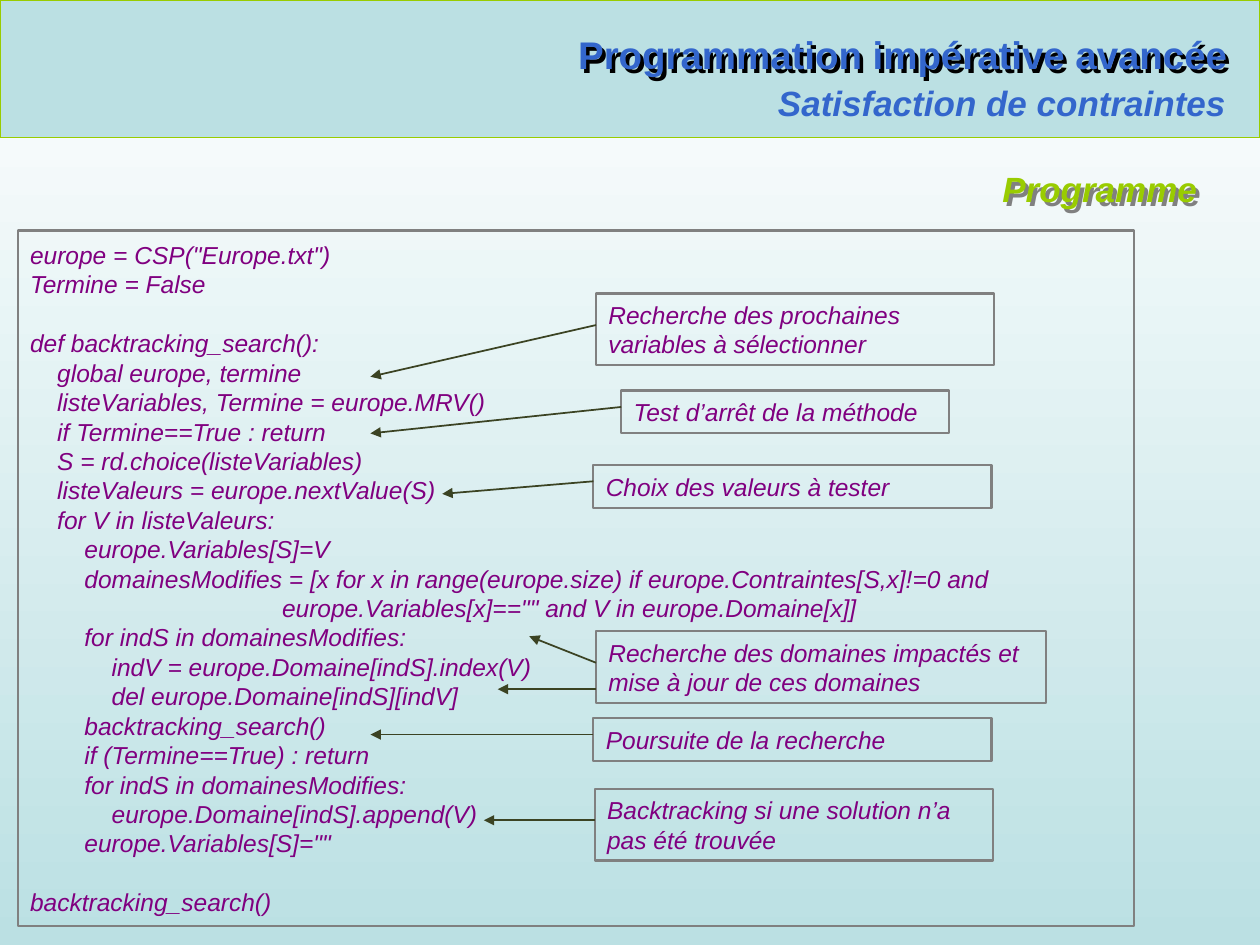
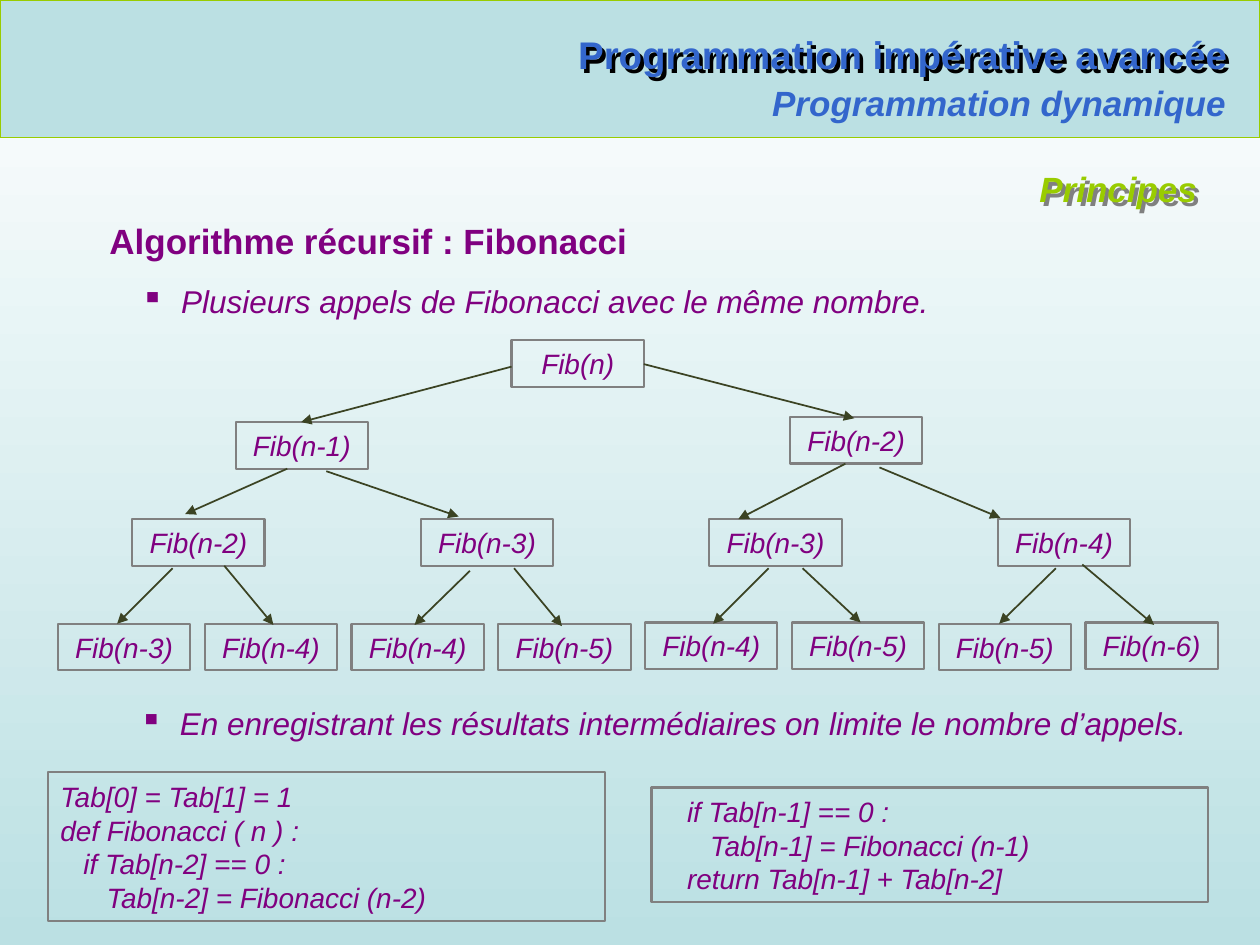
from dataclasses import dataclass
from typing import NamedTuple

from lxml import etree
from pptx import Presentation
from pptx.dml.color import RGBColor
from pptx.enum.shapes import MSO_CONNECTOR, MSO_SHAPE
from pptx.enum.text import MSO_ANCHOR, PP_ALIGN
from pptx.oxml.ns import qn
from pptx.util import Inches, Pt

COLORS = {
    "sky": "BBE0E3", "white": "FFFFFF", "green": "99CC00", "blue": "3366CC",
    "purple": "800080", "grey": "808080", "olive": "3B4323", "black": "000000",
}
FONT = "Arial"
LINE_HEIGHT = 1.2

COURSE = {"size": Pt(22), "bold": True}
CHAPTER = {"size": Pt(20), "bold": True, "italic": True}
HEADING = {"size": Pt(20), "bold": True}
BULLET = {"size": Pt(18), "italic": True}
NODE = {"size": Pt(16), "italic": True}
CODE = {"size": Pt(14), "italic": True}


class Area(NamedTuple):
    left: float
    top: float
    width: float
    height: float


class Arrow(NamedTuple):
    x1: float
    y1: float
    x2: float
    y2: float


@dataclass
class Callout:
    text: str
    area: Area
    arrows: list[Arrow]


PROGRAM = '''europe = CSP("Europe.txt")
Termine = False

def backtracking_search():
    global europe, termine
    listeVariables, Termine = europe.MRV()
    if Termine==True : return
    S = rd.choice(listeVariables)
    listeValeurs = europe.nextValue(S)
    for V in listeValeurs:
        europe.Variables[S]=V
        domainesModifies = [x for x in range(europe.size) if europe.Contraintes[S,x]!=0 and
\t\teurope.Variables[x]=="" and V in europe.Domaine[x]]
        for indS in domainesModifies:
            indV = europe.Domaine[indS].index(V)
            del europe.Domaine[indS][indV]
        backtracking_search()
        if (Termine==True) : return
        for indS in domainesModifies:
            europe.Domaine[indS].append(V)
        europe.Variables[S]=""

backtracking_search()'''

CALLOUTS = [
    Callout("Recherche des prochaines variables à sélectionner",
            Area(4.73, 2.33, 3.16, 0.57), [Arrow(4.73, 2.58, 2.94, 2.99)]),
    Callout("Test d’arrêt de la méthode",
            Area(4.93, 3.1, 2.6, 0.34), [Arrow(4.93, 3.23, 2.94, 3.44)]),
    Callout("Choix des valeurs à tester",
            Area(4.71, 3.69, 3.16, 0.34), [Arrow(4.71, 3.82, 3.51, 3.92)]),
    Callout("Recherche des domaines impactés et mise à jour de ces domaines",
            Area(4.73, 5.01, 3.57, 0.57),
            [Arrow(4.73, 5.26, 4.2, 5.05), Arrow(4.73, 5.47, 3.95, 5.47)]),
    Callout("Poursuite de la recherche",
            Area(4.71, 5.7, 3.16, 0.34), [Arrow(4.71, 5.83, 2.94, 5.83)]),
    Callout("Backtracking si une solution n’a pas été trouvée",
            Area(4.72, 6.26, 3.16, 0.57), [Arrow(4.72, 6.51, 3.84, 6.51)]),
]

# Left and top of every call, one list per depth of the recursion
TREE_LEVELS = [
    [(4.06, 2.7)],
    [(1.87, 3.35), (6.27, 3.31)],
    [(1.05 + 2.29 * i, 4.12) for i in range(4)],
    [(0.46 + 1.165 * i, 4.94 if i in (4, 5, 7) else 4.95) for i in range(8)],
]
TREE_ARROWS = [
    Arrow(4.06, 2.91, 2.39, 3.35), Arrow(5.11, 2.89, 6.78, 3.32),
    Arrow(2.28, 3.72, 1.47, 4.08), Arrow(2.59, 3.74, 3.64, 4.1),
    Arrow(6.71, 3.68, 5.86, 4.12), Arrow(6.98, 3.71, 7.94, 4.11),
    Arrow(1.37, 4.51, 0.93, 4.95), Arrow(1.78, 4.49, 2.17, 4.96),
    Arrow(3.73, 4.53, 3.29, 4.96), Arrow(4.08, 4.51, 4.46, 4.97),
    Arrow(6.1, 4.51, 5.66, 4.95), Arrow(6.37, 4.51, 6.83, 4.94),
    Arrow(8.38, 4.51, 7.93, 4.95), Arrow(8.59, 4.48, 9.16, 4.96),
]

MEMO_TEST = '''Tab[0] = Tab[1] = 1
def Fibonacci ( n ) :
   if Tab[n-2] == 0 :
      Tab[n-2] = Fibonacci (n-2)'''
MEMO_RETURN = '''   if Tab[n-1] == 0 :
      Tab[n-1] = Fibonacci (n-1)
   return Tab[n-1] + Tab[n-2]'''


def rgb(color: str) -> RGBColor:
    return RGBColor.from_string(COLORS[color])


def inches(lengths) -> list:
    return [Inches(length) for length in lengths]


def write(paragraph, text: str, style: dict, color: str = "purple") -> None:
    run = paragraph.add_run()
    run.text = text
    for attribute, value in {"name": FONT, **style}.items():
        setattr(run.font, attribute, value)
    run.font.color.rgb = rgb(color)


def add_text(slide, area: Area, text: str, style: dict, color: str = "purple",
             align=PP_ALIGN.RIGHT, shadow: str = ""):
    """Add a one-line text, with a cast shadow if a shadow colour is given."""
    box = slide.shapes.add_textbox(*inches(area))
    box.text_frame.word_wrap = True
    paragraph = box.text_frame.paragraphs[0]
    paragraph.alignment = align
    write(paragraph, text, style, color)
    if shadow:
        effects = etree.SubElement(box._element.spPr, qn("a:effectLst"))
        cast = etree.SubElement(effects, qn("a:outerShdw"), dist=str(Inches(0.04)),
                                dir="2700000", algn="ctr", rotWithShape="0")
        etree.SubElement(cast, qn("a:srgbClr"), val=COLORS[shadow])
    return paragraph


def add_bullet(slide, area: Area, text: str) -> None:
    paragraph = add_text(slide, area, text, BULLET, align=PP_ALIGN.JUSTIFY)
    properties = paragraph._p.get_or_add_pPr()
    properties.set("marL", str(Inches(0.57)))
    properties.set("indent", str(-Inches(0.32)))
    etree.SubElement(properties, qn("a:buChar"), char="▪")


def add_frame(slide, area: Area, text: str, style: dict, align=PP_ALIGN.LEFT) -> None:
    """Add a grey outlined box; an empty line of text becomes space before the next."""
    frame = slide.shapes.add_shape(MSO_SHAPE.RECTANGLE, *inches(area))
    frame.shadow.inherit = False
    frame.fill.background()
    frame.line.color.rgb = rgb("grey")
    frame.line.width = Pt(1.25)
    body = frame.text_frame
    body.word_wrap = True
    body.vertical_anchor = MSO_ANCHOR.MIDDLE
    paragraph, gap = body.paragraphs[0], 0
    for number, line in enumerate(text.split("\n")):
        if not line:
            gap = style["size"] * LINE_HEIGHT
            continue
        if number:
            paragraph = body.add_paragraph()
        paragraph.alignment = align
        if "\t" in line:
            tabs = etree.SubElement(paragraph._p.get_or_add_pPr(), qn("a:tabLst"))
            etree.SubElement(tabs, qn("a:tab"), pos=str(Inches(1.7)), algn="ctr")
        if gap:
            paragraph.space_before = int(gap)
            gap = 0
        write(paragraph, line, style)


def add_line(slide, ends: Arrow, color: str, width: float, head: bool = True) -> None:
    line = slide.shapes.add_connector(MSO_CONNECTOR.STRAIGHT, *inches(ends))
    line.line.color.rgb = rgb(color)
    line.line.width = Pt(width)
    if head:
        etree.SubElement(line.line._get_or_add_ln(), qn("a:tailEnd"), type="triangle")
    etree.SubElement(line._element.spPr, qn("a:effectLst"))


def add_course_slide(deck, chapter: str, section: str):
    """Add a slide with the gradient, the title band and the section name."""
    slide = deck.slides.add_slide(deck.slide_layouts[6])
    backdrop = slide.background.fill
    backdrop.gradient()
    backdrop.gradient_angle = 270
    for stop, color, position in zip(backdrop.gradient_stops, ("white", "sky"), (0, 1)):
        stop.color.rgb = rgb(color)
        stop.position = position
    band = slide.shapes.add_shape(MSO_SHAPE.RECTANGLE, *inches((0, 0, 10, 1.09)))
    band.shadow.inherit = False
    band.fill.solid()
    band.fill.fore_color.rgb = rgb("sky")
    band.line.color.rgb = rgb("green")
    band.line.width = Pt(0.75)
    add_text(slide, Area(4.2, 0.2, 5.64, 0.47), "Programmation impérative avancée",
             COURSE, "blue", shadow="black")
    add_text(slide, Area(4.2, 0.6, 5.63, 0.44), chapter, CHAPTER, "blue")
    add_line(slide, Arrow(0.34, 1.09, 9.76, 1.09), "green", 0.75, head=False)
    add_text(slide, Area(4.2, 1.28, 5.4, 0.44), section, CHAPTER, "green", shadow="grey")
    return slide


def build_program(deck) -> None:
    slide = add_course_slide(deck, "Satisfaction de contraintes", "Programme")
    add_frame(slide, Area(0.14, 1.83, 8.86, 5.52), PROGRAM, CODE)
    for callout in CALLOUTS:
        add_frame(slide, callout.area, callout.text, CODE)
        for arrow in callout.arrows:
            add_line(slide, arrow, "olive", 1)


def build_fibonacci(deck) -> None:
    slide = add_course_slide(deck, "Programmation dynamique", "Principes")
    add_text(slide, Area(0.77, 1.69, 8.9, 0.44), "Algorithme récursif : Fibonacci",
             HEADING, align=PP_ALIGN.JUSTIFY)
    add_bullet(slide, Area(0.77, 2.19, 8.9, 0.41),
               "Plusieurs appels de Fibonacci avec le même nombre.")
    steps = [0]
    for level in TREE_LEVELS:
        for step, (left, top) in zip(steps, level):
            label = f"Fib(n-{step})" if step else "Fib(n)"
            add_frame(slide, Area(left, top, 1.05, 0.37), label, NODE, PP_ALIGN.CENTER)
        steps = [step + less for step in steps for less in (1, 2)]
    for arrow in TREE_ARROWS:
        add_line(slide, arrow, "olive", 1)
    add_frame(slide, Area(0.38, 6.13, 4.42, 1.18), MEMO_TEST, NODE)
    add_frame(slide, Area(5.17, 6.25, 4.42, 0.91), MEMO_RETURN, NODE)
    add_bullet(slide, Area(0.76, 5.54, 8.9, 0.41),
               "En enregistrant les résultats intermédiaires on limite le nombre d’appels.")


def main() -> None:
    deck = Presentation()
    deck.slide_width, deck.slide_height = inches((10, 7.5))
    build_program(deck)
    build_fibonacci(deck)
    deck.save("out.pptx")


if __name__ == "__main__":
    main()
